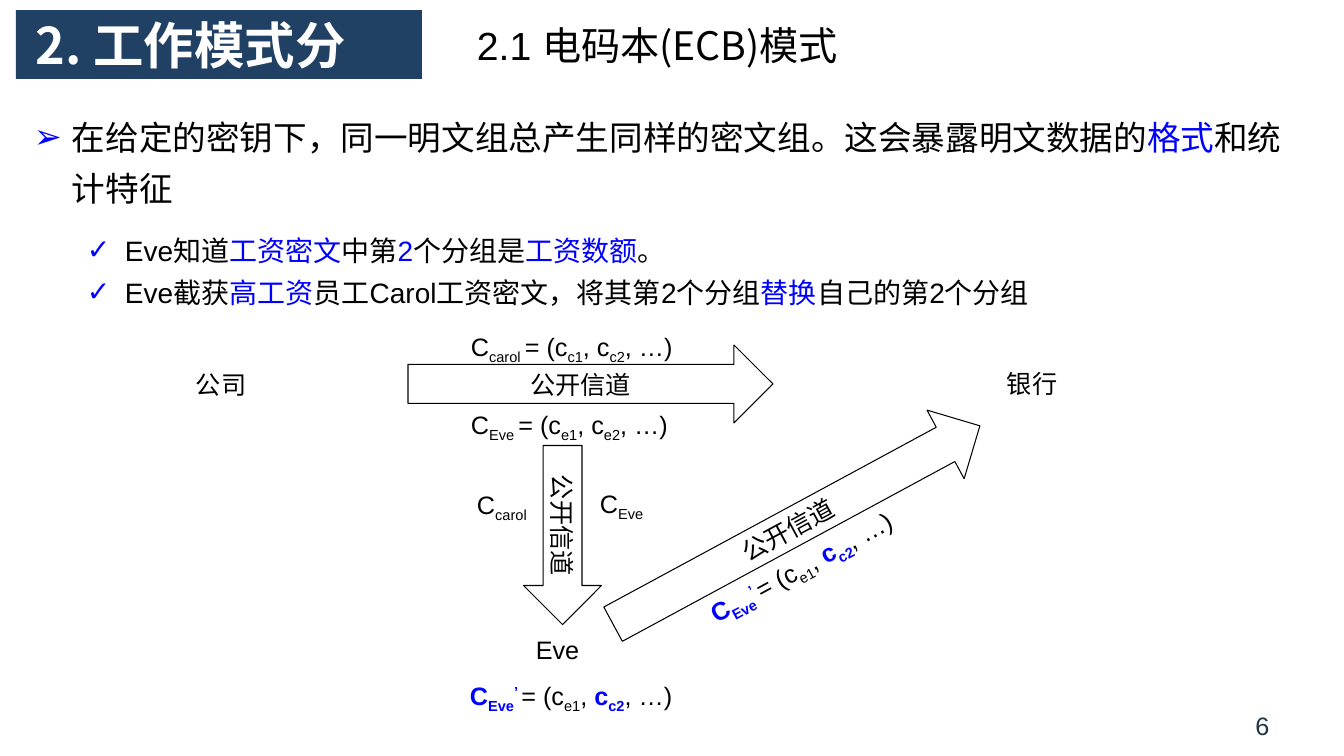
from lxml import etree
from pptx import Presentation
from pptx.dml.color import RGBColor
from pptx.enum.shapes import MSO_SHAPE
from pptx.enum.text import MSO_ANCHOR, MSO_AUTO_SIZE, PP_ALIGN
from pptx.oxml.ns import qn
from pptx.util import Emu, Pt

EMU_PER_PX = 914400 / 100.8
RIGHT_ARROW = MSO_SHAPE.RIGHT_ARROW
TOP, MIDDLE = MSO_ANCHOR.TOP, MSO_ANCHOR.MIDDLE
GROW, FIXED = MSO_AUTO_SIZE.SHAPE_TO_FIT_TEXT, MSO_AUTO_SIZE.NONE
LEFT, CENTER = PP_ALIGN.LEFT, PP_ALIGN.CENTER
TITLE_ONLY = 5

LATIN, CJK = "Arial", "Noto Sans CJK SC"
BLACK, BLUE, WHITE = "000000", "0000FF", "FFFFFF"
NAVY, SLATE = "204064", "203744"
SUBSCRIPT, SUPERSCRIPT = -25000, 30000
CHANNEL_TILT = 331.6


def px(length):
    return Emu(round(length * EMU_PER_PX))


def color(value):
    return RGBColor.from_string(value)


def span(text, ink=BLACK, baseline=0, bold=False, font=None):
    """Describe one stretch of uniformly formatted text."""
    return text, ink, baseline, bold, font


def highlighted(*texts):
    """Alternate black and blue spans, starting with black."""
    return [span(text, (BLACK, BLUE)[i % 2]) for i, text in enumerate(texts)]


def symbol(letter, index, hot=False):
    """A letter with its subscript; hot ones are bold blue."""
    ink = BLUE if hot else BLACK
    return [span(letter, ink, bold=hot), span(index, ink, SUBSCRIPT, hot)]


def ciphertext(owner, first, second):
    return [*symbol("C", owner + " "), span("= ("), *symbol("c", first),
            span(", "), *symbol("c", second), span(", …)")]


def forged_ciphertext():
    return [*symbol("C", "Eve", True), span("’ ", BLUE, SUPERSCRIPT, True),
            span("= ("), *symbol("c", "e1"), span(", "),
            *symbol("c", "c2", True), span(", …)")]


def write(para, spans, size, font, align=LEFT):
    para.alignment = align
    for text, ink, baseline, bold, own_font in spans:
        run = para.add_run()
        run.text = text
        run.font.size = Pt(size)
        run.font.bold = bold
        run.font.name = own_font or font
        run.font.color.rgb = color(ink)
        properties = run._r.get_or_add_rPr()
        if baseline:
            properties.set("baseline", str(baseline))
        etree.SubElement(properties, qn("a:ea")).set("typeface", CJK)


def add_bullet(para, mark):
    para.line_spacing = 1.25
    properties = para._p.get_or_add_pPr()
    indent = px(38)
    properties.set("marL", str(indent))
    properties.set("indent", str(-indent))
    tint = etree.SubElement(properties, qn("a:buClr"))
    etree.SubElement(tint, qn("a:srgbClr")).set("val", BLUE)
    etree.SubElement(properties, qn("a:buFont")).set("typeface", LATIN)
    etree.SubElement(properties, qn("a:buChar")).set("char", mark)


def add_text(page, place, paragraphs, size=18, font=LATIN, wrap=False,
             align=LEFT, mark=None, rotation=0):
    box = page.shapes.add_textbox(*map(px, place))
    box.rotation = rotation
    frame = box.text_frame
    frame.word_wrap = wrap
    frame.auto_size = GROW
    for i, spans in enumerate(paragraphs):
        para = frame.add_paragraph() if i else frame.paragraphs[0]
        write(para, spans, size, font, align)
        if mark:
            add_bullet(para, mark)


def add_channel(page, place, rotation=0):
    arrow = page.shapes.add_shape(RIGHT_ARROW, *map(px, place))
    arrow.rotation = rotation
    arrow.shadow.inherit = False
    arrow.fill.solid()
    arrow.fill.fore_color.rgb = color(WHITE)
    arrow.line.color.rgb = color(BLACK)
    arrow.line.width = Pt(0.75)
    frame = arrow.text_frame
    frame.word_wrap = True
    frame.vertical_anchor = MIDDLE
    write(frame.paragraphs[0], [span("公开信道")], 18, CJK, CENTER)


def format_title(title):
    title.left, title.top, title.width, title.height = map(px, (16, 10, 406, 69))
    title.fill.solid()
    title.fill.fore_color.rgb = color(NAVY)
    frame = title.text_frame
    frame.word_wrap = True
    frame.auto_size = FIXED
    frame.vertical_anchor = TOP
    frame.margin_left = frame.margin_right = px(20)
    frame.margin_top = frame.margin_bottom = px(4)
    write(frame.paragraphs[0], [span("2. 工作模式分", WHITE, bold=True)], 36, CJK)


def add_points(page):
    add_text(page, (467, 16, 563, 56),
             [[span("2.1 ", font=LATIN), span("电码本(ECB)模式")]],
             28, CJK, wrap=True)
    add_text(page, (24, 102, 1296, 107), [highlighted(
        "在给定的密钥下，同一明文组总产生同样的密文组。这会暴露明文数据的",
        "格式", "和统计特征")], 24, CJK, wrap=True, mark="➢")
    add_text(page, (77, 220, 1194, 91), [
        highlighted("Eve知道", "工资密文", "中第", "2", "个分组是", "工资数额", "。"),
        highlighted("Eve截获", "高工资", "员工Carol工资密文，将其第2个分组",
                    "替换", "自己的第2个分组"),
    ], 20, wrap=True, mark="✓")


def add_attack_diagram(page):
    add_channel(page, (408, 345, 365, 78))
    add_channel(page, (473, 496, 179, 78), 90)
    add_channel(page, (588, 486, 417, 78), CHANNEL_TILT)
    labels = [
        ((186, 364, 72, 40), [span("公司")]),
        ((997, 363, 72, 40), [span("银行")]),
        ((526, 629, 65, 40), [span("Eve")]),
        ((461, 326, 234, 40), ciphertext("carol", "c1", "c2")),
        ((461, 404, 236, 40), ciphertext("Eve", "e1", "e2")),
        ((467, 484, 91, 40), symbol("C", "carol")),
        ((590, 483, 68, 40), symbol("C", "Eve")),
        ((460, 675, 234, 40), forged_ciphertext()),
    ]
    for place, spans in labels:
        add_text(page, place, [spans])
    add_text(page, (689, 544, 234, 40), [forged_ciphertext()],
             rotation=CHANNEL_TILT)


def main():
    deck = Presentation()
    deck.slide_width, deck.slide_height = px(1344), px(756)
    page = deck.slides.add_slide(deck.slide_layouts[TITLE_ONLY])
    format_title(page.shapes.title)
    add_points(page)
    add_attack_diagram(page)
    add_text(page, (1217, 705, 91, 40), [[span("6", SLATE)]],
             wrap=True, align=CENTER)
    deck.save("out.pptx")


if __name__ == "__main__":
    main()
